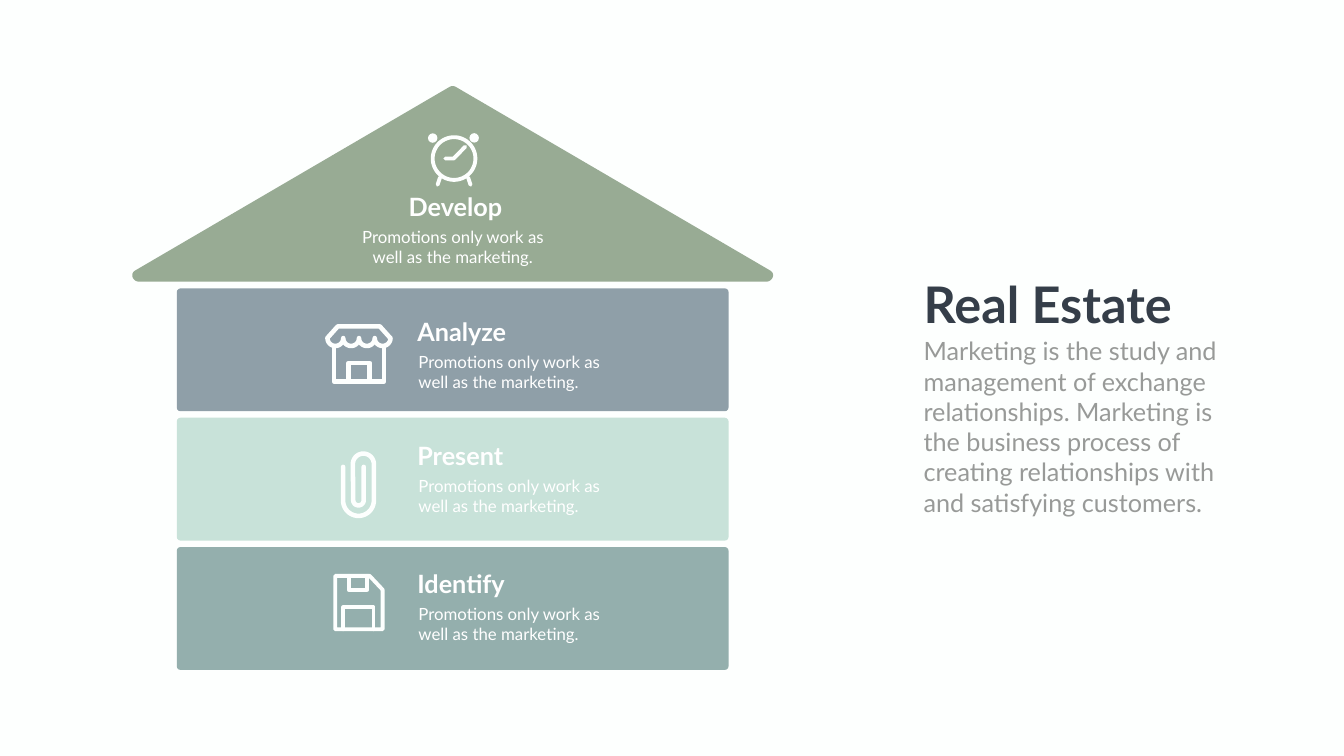
import math
import pptx
import pptx.dml.color
import pptx.enum.shapes
import pptx.enum.text
import pptx.oxml.ns
import pptx.util
from lxml import etree

Pt = pptx.util.Pt
ALIGN = pptx.enum.text.PP_ALIGN

THEME = {
    "font": "Lato",
    "title": 72, "lead": 36, "heading": 36, "body": 24,
    "paper": "FDFFFE", "white": "FFFFFF", "ink": "353E49", "grey": "989A98",
    "sage": "98AB94", "slate": "8F9FA8", "mint": "C8E2D9", "teal": "94AFAD",
}

TITLE = "Real Estate"
LEAD = ("Marketing is the study and management of exchange relationships. "
        "Marketing is the business process of creating relationships with "
        "and satisfying customers.")
PROMOTION = "Promotions only work as well as the marketing."
FLOORS = [
    ("Analyze", "slate", 448),
    ("Present", "mint", 625.5),
    ("Identify", "teal", 808),
]
ROOF_HEADING = "Develop"

FLOOR_LEFT, FLOOR_TOP, FLOOR_WIDTH, FLOOR_HEIGHT, FLOOR_PITCH = 252.5, 412, 788, 175.5, 184.75
HOUSE_AXIS = FLOOR_LEFT + FLOOR_WIDTH / 2
EAVE_BEND = [(199, 402.5), (189.5, 402.5), (185, 391), (193, 386.5)]
RIDGE_BEND = [(641.5, 124.5), (644.5, 122.5), (648.5, 122.5), (651.5, 124.5)]


def arc(x, y, radius, start, end, steps=24):
    angles = [math.radians(start + (end - start) * i / steps) for i in range(steps + 1)]
    return [(x + radius * math.cos(a), y + radius * math.sin(a)) for a in angles]


def bend(a, b, c, d, steps=12):
    points = []
    for i in range(steps + 1):
        t = i / steps
        weights = ((1 - t) ** 3, 3 * t * (1 - t) ** 2, 3 * t * t * (1 - t), t ** 3)
        points.append(tuple(sum(w * p[axis] for w, p in zip(weights, (a, b, c, d)))
                            for axis in (0, 1)))
    return points


SCALLOPS = [p for i in range(4) for p in arc(82.5 - 22.5 * i, 20, 11.25, 0, 180)]
ICONS = [
    {"origin": (611.5, 190), "weight": 5.5, "strokes": [
        arc(37, 36.5, 30.5, 0, 360, 60),
        [(24.5, 36.5), (36.5, 36.5), (53, 19.5)],
        [(17, 63.5), (13.5, 74)],
        [(57, 63.5), (60.5, 74)]]},
    {"origin": (464, 463), "weight": 6.5, "strokes": [
        [(3.5, 20), (18.5, 3.25), (78.5, 3.25), (93.5, 20)] + SCALLOPS,
        [(13, 32), (13, 82), (84.5, 82), (84.5, 32)],
        [(34, 82), (34, 55.5), (64, 55.5), (64, 82)]]},
    {"origin": (486.5, 644.5), "weight": 6.5, "strokes": [
        [(3.5, 22.5)] + arc(25.5, 70.5, 22, 180, 0) + arc(32.5, 18.5, 15, 0, -180)
        + arc(25.5, 70, 7.5, 180, 0) + [(33, 22.5)]]},
    {"origin": (476, 820), "weight": 5.5, "strokes": [
        [(2.75, 2.75), (52, 2.75), (70.5, 22.5), (70.5, 79), (2.75, 79), (2.75, 2.75)],
        [(22, 2.75), (22, 22.5), (48.5, 22.5), (48.5, 2.75)],
        [(14.5, 79), (14.5, 47.5), (57.5, 47.5), (57.5, 79)]]},
]
BELLS = [(618, 197.25), (677.25, 197)]
BELL_SIZE = 13.5


def colour(name):
    return pptx.dml.color.RGBColor.from_string(THEME[name])


def paint(shape, name):
    shape.shadow.inherit = False
    shape.fill.solid()
    shape.fill.fore_color.rgb = colour(name)
    shape.line.fill.background()


def outline(slide, strokes, origin=(0, 0)):
    builder = None
    for stroke in strokes:
        (x, y), *rest = [(Pt(px), Pt(py)) for px, py in stroke]
        if builder is None:
            builder = slide.shapes.build_freeform(x, y, scale=1.0)
        else:
            builder.move_to(x, y)
        builder.add_line_segments(rest, close=False)
    return builder.convert_to_shape(Pt(origin[0]), Pt(origin[1]))


def draw_icon(slide, icon):
    shape = outline(slide, icon["strokes"], icon["origin"])
    shape.shadow.inherit = False
    shape.fill.background()
    shape.line.color.rgb = colour("paper")
    shape.line.width = Pt(icon["weight"])
    pen = shape.line._get_or_add_ln()
    pen.set("cap", "rnd")
    etree.SubElement(pen, pptx.oxml.ns.qn("a:round"))


def write(slide, text, box, size="body", ink="white", bold=False, align=ALIGN.LEFT, holder=None):
    left, top, width, height = map(Pt, box)
    shape = holder or slide.shapes.add_textbox(left, top, width, height)
    shape.left, shape.top, shape.width, shape.height = left, top, width, height
    frame = shape.text_frame
    frame.word_wrap = True
    frame.auto_size = pptx.enum.text.MSO_AUTO_SIZE.NONE
    frame.vertical_anchor = pptx.enum.text.MSO_ANCHOR.TOP
    paragraph = frame.paragraphs[0]
    paragraph.alignment = align
    run = paragraph.add_run()
    run.text = text
    run.font.name = THEME["font"]
    run.font.size = Pt(THEME[size])
    run.font.bold = bold
    run.font.color.rgb = colour(ink)


def main():
    deck = pptx.Presentation()
    deck.slide_width, deck.slide_height = Pt(1919.5), Pt(1080)
    slide = deck.slides.add_slide(deck.slide_layouts[5])
    slide.background.fill.solid()
    slide.background.fill.fore_color.rgb = colour("paper")

    write(slide, TITLE, (1312, 386, 379, 94), size="title", ink="ink", bold=True,
          holder=slide.shapes.title)
    write(slide, LEAD, (1312, 476, 471, 269), size="lead", ink="grey")

    for i, (heading, fill, heading_top) in enumerate(FLOORS):
        floor = slide.shapes.add_shape(
            pptx.enum.shapes.MSO_SHAPE.ROUNDED_RECTANGLE, Pt(FLOOR_LEFT),
            Pt(FLOOR_TOP + i * FLOOR_PITCH), Pt(FLOOR_WIDTH), Pt(FLOOR_HEIGHT))
        floor.adjustments[0] = 0.03
        paint(floor, fill)
        write(slide, heading, (589, heading_top, 188, 51), size="heading", bold=True)
        write(slide, PROMOTION, (590.5, heading_top + 51, 289.5, 65.5))

    left_eave = bend(*EAVE_BEND)
    right_eave = [(2 * HOUSE_AXIS - x, y) for x, y in reversed(left_eave)]
    roof = left_eave + bend(*RIDGE_BEND) + right_eave
    paint(outline(slide, [roof + roof[:1]]), "sage")
    write(slide, ROOF_HEADING, (556.5, 270, 188, 51), size="heading", bold=True,
          align=ALIGN.CENTER)
    write(slide, PROMOTION, (502, 320.5, 289.5, 65.5), align=ALIGN.CENTER)

    for icon in ICONS:
        draw_icon(slide, icon)
    for x, y in BELLS:
        bell = slide.shapes.add_shape(
            pptx.enum.shapes.MSO_SHAPE.OVAL, Pt(x - BELL_SIZE / 2), Pt(y - BELL_SIZE / 2),
            Pt(BELL_SIZE), Pt(BELL_SIZE))
        paint(bell, "paper")

    deck.save("out.pptx")


if __name__ == "__main__":
    main()
